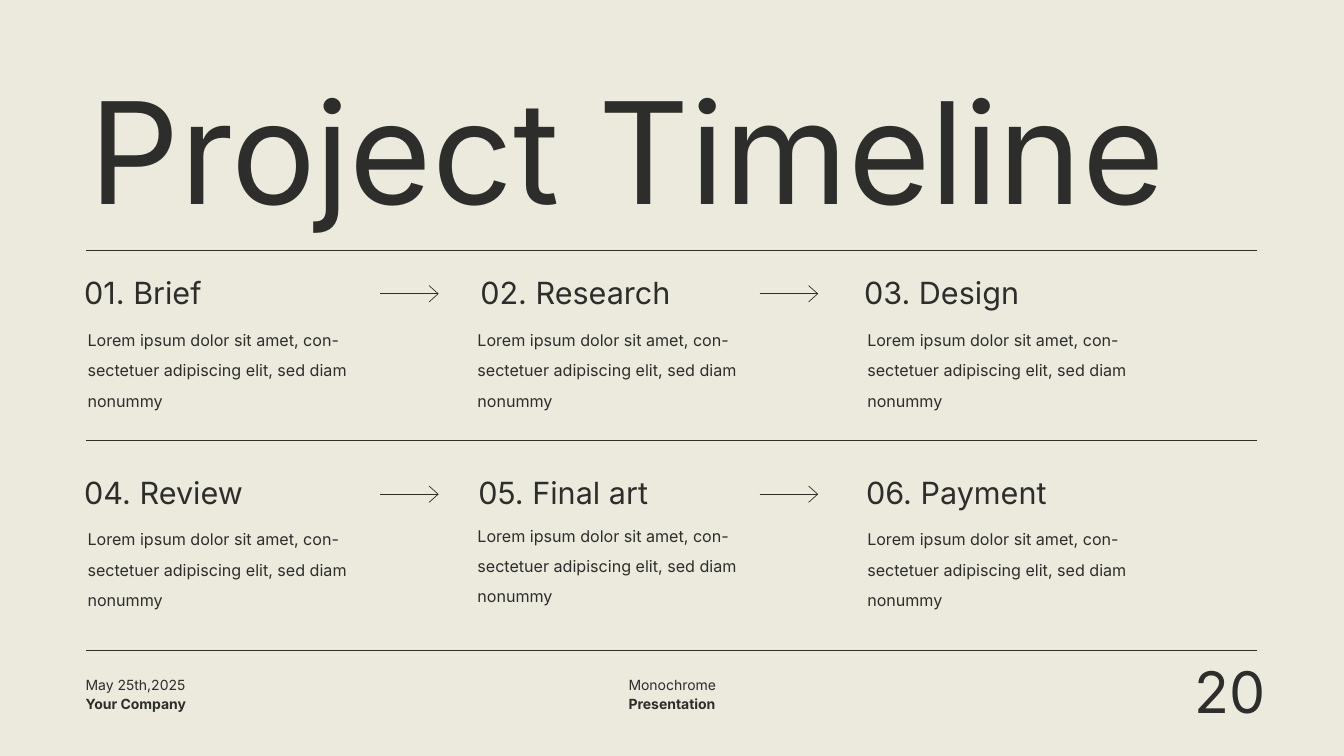
from lxml import etree
from pptx import Presentation
from pptx import util as u
from pptx.dml.color import RGBColor
from pptx.enum import shapes, text
from pptx.oxml.ns import qn

COLORS = {"paper": "EBEADC", "ink": "2D2D2C"}
BODY = "Lorem ipsum dolor sit amet, con- sectetuer adipiscing elit, sed diam nonummy"


class TimelineSlide:
    font_name = "Inter"
    line_width = u.Pt(0.82)

    def __init__(self, presentation):
        self.slide = presentation.slides.add_slide(presentation.slide_layouts[6])
        fill = self.slide.background.fill
        fill.solid()
        fill.fore_color.rgb = self.color("paper")

    def color(self, name):
        return RGBColor.from_string(COLORS[name])

    def text(self, words, left, top, width, height, size, bold=False, spacing=None, inset=0.03):
        shape = self.slide.shapes.add_textbox(u.Cm(left), u.Cm(top), u.Cm(width), u.Cm(height))
        frame = shape.text_frame
        frame.word_wrap = True
        frame.vertical_anchor = text.MSO_ANCHOR.TOP
        frame.margin_left = u.Cm(inset)
        frame.margin_top = u.Cm(inset / 2 if inset > 0.1 else inset)
        frame.margin_right = frame.margin_bottom = 0
        paragraph = frame.paragraphs[0]
        paragraph.text = words
        if spacing:
            paragraph.line_spacing = spacing
        font = paragraph.font
        font.name, font.size, font.bold = self.font_name, u.Pt(size), bold
        font.color.rgb = self.color("ink")

    def style_line(self, shape):
        shape.line.color.rgb = self.color("ink")
        shape.line.width = self.line_width

    def rule(self, left, right, y):
        line = self.slide.shapes.add_connector(
            shapes.MSO_CONNECTOR.STRAIGHT, u.Cm(left), u.Cm(y), u.Cm(right), u.Cm(y))
        self.style_line(line)
        etree.SubElement(line._element.spPr, qn("a:effectLst"))

    def arrow(self, left, y, length=2.41, depth=0.38, half=0.34):
        tip = left + length
        self.rule(left, tip, y)
        builder = self.slide.shapes.build_freeform(u.Cm(tip - depth), u.Cm(y + half))
        builder.add_line_segments(
            [(u.Cm(tip), u.Cm(y)), (u.Cm(tip - depth), u.Cm(y - half))], close=False)
        head = builder.convert_to_shape()
        head.fill.background()
        head.shadow.inherit = False
        self.style_line(head)


def main():
    presentation = Presentation()
    presentation.slide_width, presentation.slide_height = u.Cm(55.85), u.Cm(31.42)
    page = TimelineSlide(presentation)

    # Title and rules
    page.text("Project Timeline", 3.71, 2.59, 51.08, 7.11, 166.5)
    for y in (10.41, 18.29, 27.03):
        page.rule(3.58, 52.25, y)

    # Steps: heading with its left edge, and top of the body text
    rows = [
        (11.25, [("01. Brief", 3.25, 13.26), ("02. Research", 19.71, 13.26),
                 ("03. Design", 35.66, 13.26)]),
        (19.58, [("04. Review", 3.25, 21.54), ("05. Final art", 19.63, 21.39),
                 ("06. Payment", 35.74, 21.54)]),
    ]
    for heading_top, steps in rows:
        for column, (heading, left, body_top) in enumerate(steps):
            page.text(heading, left, heading_top, 11.2, 1.8, 36, inset=0.25)
            page.text(BODY, 3.61 + 16.2 * column, body_top, 11, 3.68, 19, spacing=1.56)
        for left in (15.8, 31.57):
            page.arrow(left, heading_top + 0.96)

    # Footer
    for left, upper, lower in ((3.53, "May 25th,2025", "Your Company"),
                               (26.09, "Monochrome", "Presentation")):
        page.text(upper, left, 28.09, 8, 0.73, 16.5)
        page.text(lower, left, 28.89, 8, 0.73, 16.5, bold=True)
    page.text("20", 49.61, 27.23, 3.07, 2.92, 67.5)

    presentation.save("out.pptx")


if __name__ == "__main__":
    main()
